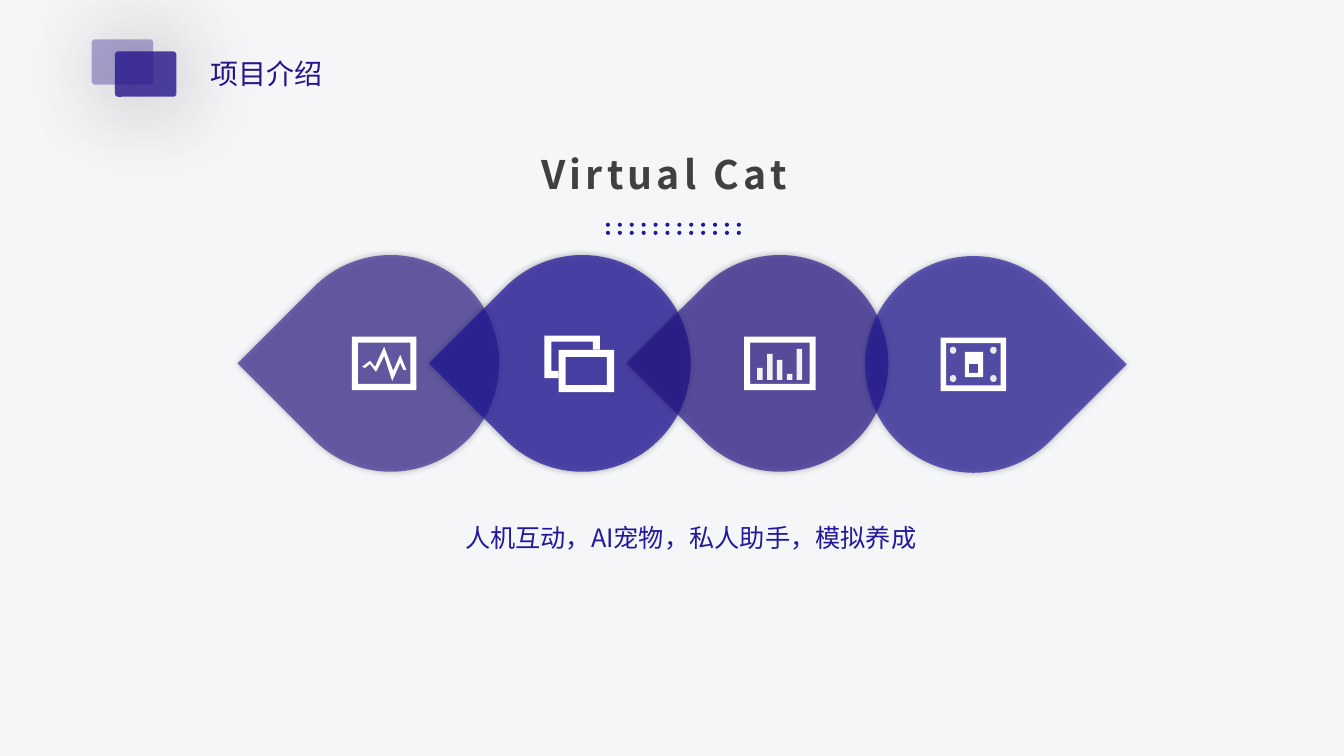
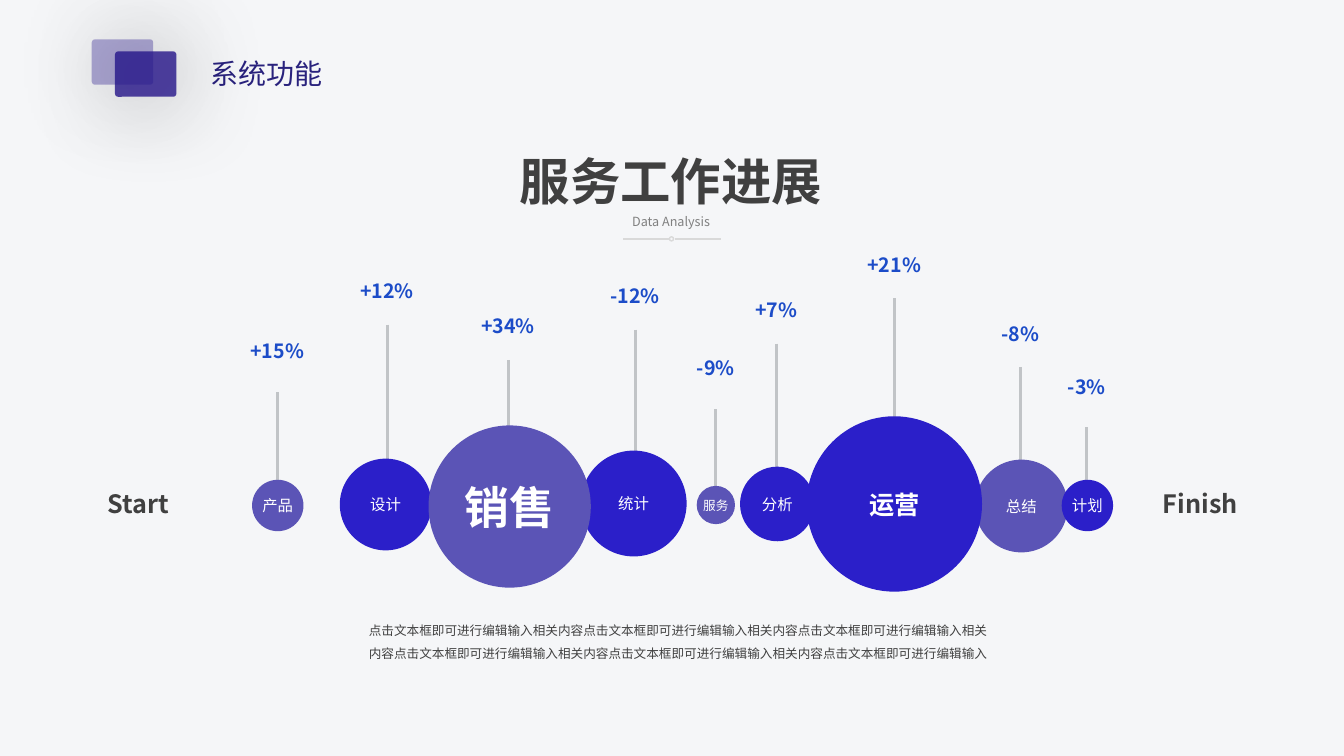
"""Build two slides: a project introduction and a service progress chart."""
from dataclasses import dataclass

from lxml import etree
from pptx import Presentation
from pptx.dml.color import RGBColor
from pptx.enum.shapes import MSO_CONNECTOR, MSO_SHAPE
from pptx.enum.text import MSO_ANCHOR, MSO_AUTO_SIZE, PP_ALIGN
from pptx.oxml.ns import qn
from pptx.util import Inches, Pt

OVAL = MSO_SHAPE.OVAL
RECT = MSO_SHAPE.RECTANGLE
ROUND = MSO_SHAPE.ROUNDED_RECTANGLE
FRAME = MSO_SHAPE.FRAME
DROP = MSO_SHAPE.TEAR
LINE = MSO_CONNECTOR.STRAIGHT
LEFT, MID = PP_ALIGN.LEFT, PP_ALIGN.CENTER
TOP, CORE = MSO_ANCHOR.TOP, MSO_ANCHOR.MIDDLE
GROW, FIXED = MSO_AUTO_SIZE.SHAPE_TO_FIT_TEXT, MSO_AUTO_SIZE.NONE


@dataclass(frozen=True)
class Theme:
    font: str = "Noto Sans CJK SC"
    back: str = "F5F6F8"
    plum: str = "26158C"
    navy: str = "22189D"
    dusk: str = "29227D"
    blue: str = "2B1FC9"
    mauve: str = "5B54B6"
    azure: str = "1C4CC8"
    ink: str = "404040"
    gray: str = "808080"
    stem: str = "C1C4C7"
    rule: str = "D9D9D9"
    pale: str = "F2F2F2"
    bolt: str = "E9E9E9"
    white: str = "FFFFFF"
    hero: int = 36
    big: int = 32
    name: int = 28
    head: int = 20
    lead: int = 18
    rate: int = 14
    label: int = 11
    note: int = 9


T = Theme()
COLS, ROWS = 1333, 750
CELL = Inches(0.01)


def put(slide, kind, box, fill, alpha=100, blur=0, dist=0):
    """Draw a flat shape on the grid, with an optional soft shadow."""
    shape = slide.shapes.add_shape(kind, *[int(v * CELL) for v in box])
    shape.shadow.inherit = False
    shape.line.fill.background()
    shape.fill.solid()
    shape.fill.fore_color.rgb = RGBColor.from_string(fill)
    props = shape._element.spPr
    if alpha < 100:
        tint = props.find(qn("a:solidFill")).find(qn("a:srgbClr"))
        etree.SubElement(tint, qn("a:alpha"), val=str(alpha * 1000))
    if blur:
        glow = etree.SubElement(
            props.find(qn("a:effectLst")), qn("a:outerShdw"), blurRad=str(Pt(blur)),
            dist=str(Pt(dist)), dir="2700000", algn="ctr", rotWithShape="0")
        dark = etree.SubElement(glow, qn("a:srgbClr"), val="000000")
        etree.SubElement(dark, qn("a:alpha"), val="40000")
    return shape


def write(shape, lines, size, color, bold=False, align=MID, anchor=TOP,
          fit=GROW, inset=True, track=0, lead=1.0):
    """Fill a shape with one run for each line."""
    frame = shape.text_frame
    frame.word_wrap = True
    frame.auto_size = fit
    frame.vertical_anchor = anchor
    side, edge = (Inches(0.1), Inches(0.05)) if inset else (0, 0)
    frame.margin_left = frame.margin_right = side
    frame.margin_top = frame.margin_bottom = edge
    for i, line in enumerate(lines):
        para = frame.add_paragraph() if i else frame.paragraphs[0]
        para.alignment, para.line_spacing = align, lead
        run = para.add_run()
        run.text = line
        run.font.name, run.font.size, run.font.bold = T.font, Pt(size), bold
        run.font.color.rgb = RGBColor.from_string(color)
        props = run._r.get_or_add_rPr()
        etree.SubElement(props, qn("a:ea"), typeface=T.font)
        if track:
            props.set("spc", str(track * 100))


deck = Presentation()
deck.slide_width, deck.slide_height = COLS * CELL, ROWS * CELL
ground = deck.slide_master.background.fill
ground.solid()
ground.fore_color.rgb = RGBColor.from_string(T.back)

slides = []
for title, color in (("项目介绍", T.plum), ("系统功能", T.dusk)):
    slide = deck.slides.add_slide(deck.slide_layouts[5])
    slides.append(slide)
    for left, top, alpha in ((114, 51, 80), (91, 39, 35)):
        tile = put(slide, ROUND, (left, top, 61, 45), T.plum, alpha, 70, 3)
        tile.adjustments[0] = 0.07
    head = slide.shapes.title
    head.left, head.top = 199 * CELL, 51 * CELL
    head.width, head.height = 315 * CELL, 44 * CELL
    write(head, [title], T.head, color, align=LEFT)
intro, chart = slides

for col in range(12):
    for row in range(2):
        put(intro, OVAL, (601 + 11.8 * col, 221 + 8 * row, 4, 4), T.navy)

drops = (
    (280, 253, 225, T.plum, 60),
    (470, 253, 225, T.navy, 73),
    (666, 253, 225, T.plum, 66),
    (858, 254, 45, T.navy, 67),
)
for left, top, turn, color, alpha in drops:
    drop = put(intro, DROP, (left, top, 215, 215), color, alpha, 5)
    drop.rotation = turn

frames = (
    (349, 334, 64, 53, 6),
    (554, 347, 55, 42, 7),
    (738, 334, 71, 53, 6),
    (933, 335, 65, 53, 5.5),
)
for *box, thick in frames:
    frame = put(intro, FRAME, box, T.white)
    frame.adjustments[0] = thick / box[3]

for i, high in enumerate((12, 26, 20, 6, 31)):
    put(intro, RECT, (751 + 9.8 * i, 377 - high, 5.5, high), T.pale)
for left in (942, 982):
    for top in (344, 372):
        put(intro, OVAL, (left, top, 6.5, 7), T.bolt)

pulse = [[(362, 365), (367, 361), (373, 369), (381, 353), (389, 378), (397, 360),
          (400, 367), (403, 367), (397, 352), (390, 368), (381, 344), (372, 364),
          (367, 358), (359, 364)]]
pane = [[(595, 347), (595, 333), (540, 333), (540, 375), (554, 375), (554, 368),
         (547, 368), (547, 339), (588, 339), (588, 347)]]
lock = [[(975, 349), (957, 349), (957, 374), (975, 374)],
        [(970, 370), (970, 361), (961, 361), (961, 370)]]
for paths in (pulse, pane, lock):
    pen = intro.shapes.build_freeform(*paths[0][0], scale=CELL)
    for i, path in enumerate(paths):
        if i:
            pen.move_to(*path[0])
        pen.add_line_segments(path[1:], close=True)
    icon = pen.convert_to_shape()
    icon.shadow.inherit = False
    icon.line.fill.background()
    icon.fill.solid()
    icon.fill.fore_color.rgb = RGBColor.from_string(T.white)

stages = (
    ("总结", "-8%", 1012, 364, 50, 967, 456, 92, T.mauve, T.label),
    ("统计", "-12%", 630, 327, 50, 576, 447, 105, T.blue, T.label),
    ("设计", "+12%", 384, 322, 50, 337, 455, 91, T.blue, T.label),
    ("销售", "+34%", 504, 357, 50, 425, 422, 161, T.mauve, T.big),
    ("服务", "-9%", 710, 406, 58, 691, 482, 38, T.mauve, T.note),
    ("分析", "+7%", 770, 341, 50, 734, 463, 74, T.blue, T.label),
    ("运营", "+21%", 887, 296, 50, 800, 413, 174, T.blue, T.lead),
    ("计划", "-3%", 1078, 424, 57, 1053, 476, 51, T.blue, T.label),
    ("产品", "+15%", 275, 389, 58, 250, 476, 51, T.mauve, T.label),
)
lines = [(x, top, x, low + 5, T.stem, 2) for _, _, x, top, _, _, low, *_ in stages]
lines += [(x, 237, x + 46, 237, T.rule, 1) for x in (618, 669)]
for *ends, color, thick in lines:
    line = chart.shapes.add_connector(LINE, *[v * CELL for v in ends])
    line.line.color.rgb = RGBColor.from_string(color)
    line.line.width = Pt(thick)
    etree.SubElement(line._element.spPr, qn("a:effectLst"))

for name, _, _, _, _, left, top, size, color, type_size in stages:
    disc = put(chart, OVAL, (left, top, size, size), color)
    write(disc, [name], type_size, T.white, type_size >= T.lead,
          anchor=CORE, fit=FIXED, inset=False)

ring = put(chart, OVAL, (664, 235, 4, 4), T.white)
ring.fill.background()
ring.line.color.rgb = RGBColor.from_string(T.rule)
ring.line.width = Pt(1)

words = [
    (intro, (537, 149, 272, 47), ["Virtual Cat"], T.name, T.ink, True,
     {"align": LEFT, "anchor": CORE, "inset": False, "track": 3}),
    (intro, (312, 513, 746, 46), ["人机互动，AI宠物，私人助手，模拟养成"],
     T.lead, T.navy, False, {}),
    (chart, (356, 606, 673, 55), [
        "点击文本框即可进行编辑输入相关内容点击文本框即可进行编辑输入相关内容点击文本框即可进行编辑输入相关",
        "内容点击文本框即可进行编辑输入相关内容点击文本框即可进行编辑输入相关内容点击文本框即可进行编辑输入",
    ], T.note, T.ink, False, {"align": LEFT, "lead": 1.5}),
    (chart, (84, 480, 106, 40), ["Start"], T.lead, T.ink, True, {}),
    (chart, (1113, 480, 155, 40), ["Finish"], T.lead, T.ink, True, {}),
    (chart, (586, 207, 159, 25), ["Data Analysis"], T.note, T.gray, False, {}),
    (chart, (362, 144, 607, 71), ["服务工作进展"], T.hero, T.ink, True, {}),
]
words += [(chart, (x - 56.5, top - gap, 113, 34), [rate], T.rate, T.azure, True, {})
          for _, rate, x, top, gap, *_ in stages]
for slide, box, text, size, color, bold, more in words:
    area = slide.shapes.add_textbox(*[int(v * CELL) for v in box])
    write(area, text, size, color, bold, **more)

deck.save("out.pptx")
